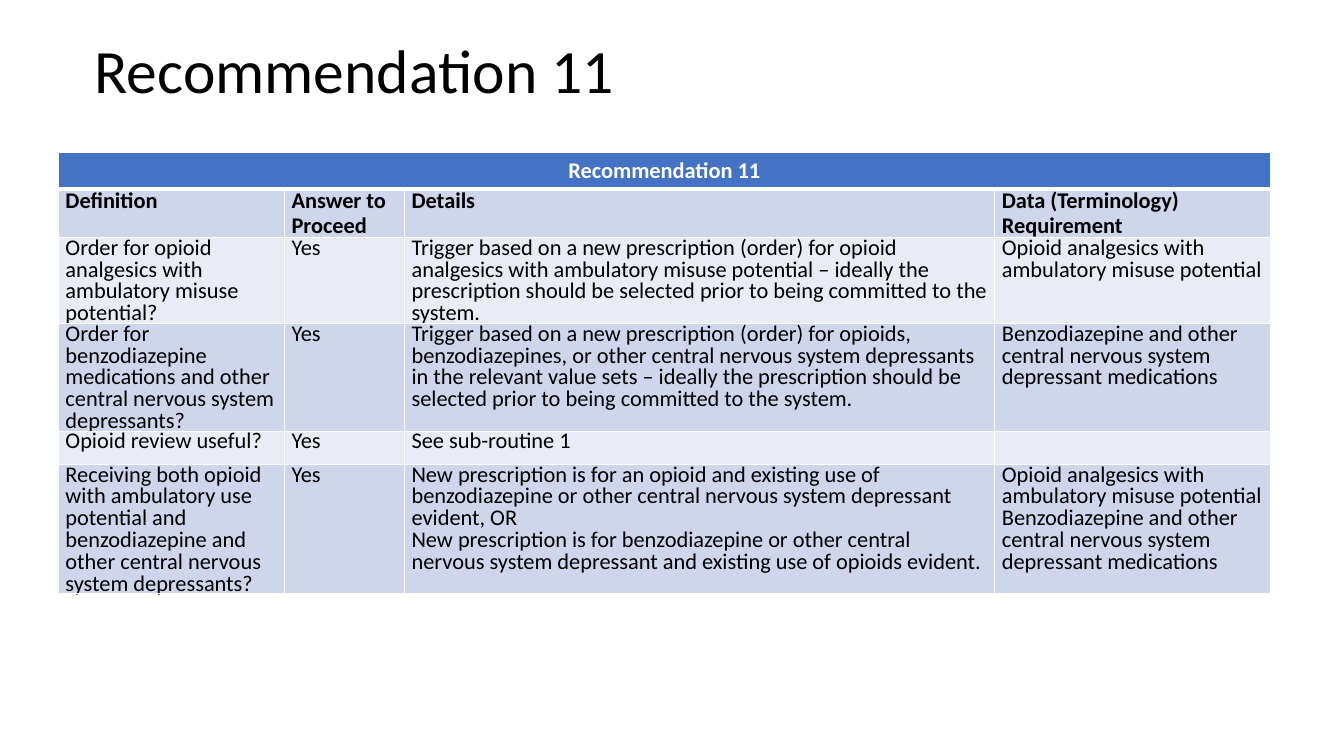
import pptx
import pptx.dml.color
import pptx.enum.text
import pptx.oxml.ns
import pptx.util
from lxml import etree

FONT = "Calibri"
BLUE, BAND, PALE = "4472C4", "CFD5EA", "E9EBF5"
BLACK, WHITE = "000000", "FFFFFF"
COLS = [2.24, 1.19, 5.85, 2.73]
ROWS = [0.36, 0.48, 0.8, 0.6, 0.33, 1.04]
ALIGN = pptx.enum.text.PP_ALIGN
OPIOIDS = "Opioid analgesics with ambulatory misuse potential"
DEPRESSANTS = "Benzodiazepine and other central nervous system depressant medications"
TITLE = "Recommendation 11"
HEADINGS = ["Definition", "Answer to Proceed", "Details", "Data (Terminology) Requirement"]
STEPS = [
    ["Order for opioid analgesics with ambulatory misuse potential?", "Yes",
     "Trigger based on a new prescription (order) for opioid analgesics with ambulatory "
     "misuse potential – ideally the prescription should be selected prior to being "
     "committed to the system.",
     OPIOIDS],
    ["Order for benzodiazepine medications and other central nervous system depressants?", "Yes",
     "Trigger based on a new prescription (order) for opioids, benzodiazepines, or other "
     "central nervous system depressants in the relevant value sets – ideally the "
     "prescription should be selected prior to being committed to the system.",
     DEPRESSANTS],
    ["Opioid review useful?", "Yes", "See sub-routine 1", ""],
    ["Receiving both opioid with ambulatory use potential and benzodiazepine and other "
     "central nervous system depressants?", "Yes",
     "New prescription is for an opioid and existing use of benzodiazepine or other central "
     "nervous system depressant evident, OR\n"
     "New prescription is for benzodiazepine or other central nervous system depressant "
     "and existing use of opioids evident.",
     OPIOIDS + "\n" + DEPRESSANTS],
]


def rgb(value):
    """Turn a hex string into a colour."""
    return pptx.dml.color.RGBColor.from_string(value)


def write(tf, text, size, color=BLACK, bold=False, spacing=None, align=ALIGN.LEFT):
    """Write each line of text as a paragraph."""
    for i, line in enumerate(text.split("\n")):
        p = tf.add_paragraph() if i else tf.paragraphs[0]
        p.alignment = align
        p.line_spacing = spacing
        p.font.size = pptx.util.Pt(size)
        if line:
            r = p.add_run()
            r.text = line
            r.font.name = FONT
            r.font.size = pptx.util.Pt(size)
            r.font.bold = bold
            r.font.color.rgb = rgb(color)


def style_cell(cell, fill, bottom=1):
    """Give a cell white borders and a solid fill."""
    tc_pr = cell._tc.get_or_add_tcPr()
    for side in "LRTB":
        width = bottom if side == "B" else 1
        ln = etree.SubElement(tc_pr, pptx.oxml.ns.qn("a:ln" + side), w=str(pptx.util.Pt(width)))
        solid = etree.SubElement(ln, pptx.oxml.ns.qn("a:solidFill"))
        etree.SubElement(solid, pptx.oxml.ns.qn("a:srgbClr"), val=WHITE)
    cell.fill.solid()
    cell.fill.fore_color.rgb = rgb(fill)


def add_title(slide, left, top, width, height):
    """Place the slide title in its box."""
    box = [pptx.util.Inches(v) for v in (left, top, width, height)]
    tf = slide.shapes.add_textbox(*box).text_frame
    tf.word_wrap = True
    tf.vertical_anchor = pptx.enum.text.MSO_ANCHOR.MIDDLE
    write(tf, TITLE, 44, spacing=0.9)


def add_steps(slide, left, top, width, height):
    """Place the recommendation table in its box."""
    box = [pptx.util.Inches(v) for v in (left, top, width, height)]
    table = slide.shapes.add_table(len(ROWS), len(COLS), *box).table
    for col, share in zip(table.columns, COLS):
        col.width = pptx.util.Inches(width * share / sum(COLS))
    for row, row_height in zip(table.rows, ROWS):
        row.height = pptx.util.Inches(row_height)

    banner = table.cell(0, 0)
    banner.merge(table.cell(0, len(COLS) - 1))
    write(banner.text_frame, TITLE, 16, WHITE, True, align=ALIGN.CENTER)
    for c in range(len(COLS)):
        style_cell(table.cell(0, c), BLUE, bottom=3)

    for i, texts in enumerate([HEADINGS] + STEPS):
        heading = i == 0
        for c, text in enumerate(texts):
            cell = table.cell(i + 1, c)
            cell.margin_left = cell.margin_right = pptx.util.Inches(0.07)
            cell.margin_top = cell.margin_bottom = 0
            write(cell.text_frame, text, 16, bold=heading, spacing=0.9 if heading else 0.8)
            style_cell(cell, PALE if i % 2 else BAND)


def main():
    """Build and save the slide."""
    prs = pptx.Presentation()
    prs.slide_width = pptx.util.Inches(13.33)
    prs.slide_height = pptx.util.Inches(7.5)
    slide = prs.slides.add_slide(prs.slide_layouts[6])
    add_title(slide, 0.84, 0, 11.5, 1.45)
    add_steps(slide, 0.58, 1.51, 12.02, sum(ROWS))
    prs.save("out.pptx")


if __name__ == "__main__":
    main()
